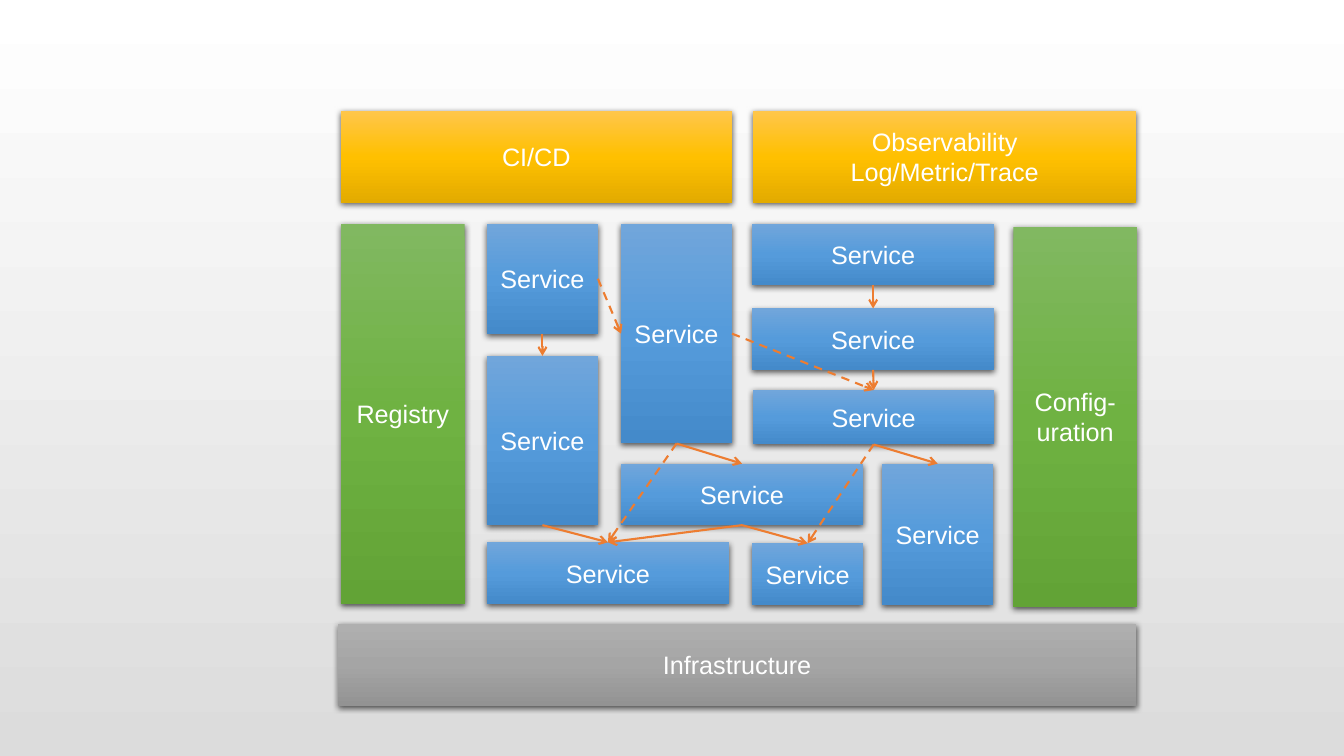
from copy import deepcopy
from lxml.etree import SubElement
from pptx import Presentation
from pptx.dml.color import RGBColor
from pptx.enum.dml import MSO_LINE
from pptx.enum.shapes import MSO_CONNECTOR, MSO_SHAPE
from pptx.enum.text import MSO_ANCHOR, PP_ALIGN
from pptx.oxml.ns import qn
from pptx.util import Inches, Pt

BLUE = ("71A6DB", "559BDB", "448ACA")
GREEN = ("81B861", "6FB242", "62A336")
GOLD = ("FFC64B", "FFC000", "E3AB00")
GRAY = ("AFAFAF", "A5A5A5", "939393")
ORANGE = "ED7D31"
TOP, LEFT, BOTTOM, RIGHT = range(4)


def paint_gradient(fill, owner, colors):
    fill.gradient()
    fill.gradient_angle = 270
    stop_list = owner.xpath(".//a:gsLst")[0]
    for _ in colors[2:]:
        stop_list.insert(1, deepcopy(stop_list[0]))
    for index, (stop, color) in enumerate(zip(fill.gradient_stops, colors)):
        stop.position = index / (len(colors) - 1)
        stop.color.rgb = RGBColor.from_string(color)


def add_box(slide, text, colors, left, top, width, height):
    shape = slide.shapes.add_shape(
        MSO_SHAPE.RECTANGLE, Inches(left), Inches(top), Inches(width), Inches(height)
    )
    paint_gradient(shape.fill, shape._element.spPr, colors)
    shape.line.fill.background()
    shape.shadow.inherit = False
    effects = shape._element.spPr.find(qn("a:effectLst"))
    shadow = SubElement(
        effects, qn("a:outerShdw"), blurRad="57150", dist="19050",
        dir="5400000", algn="ctr", rotWithShape="0",
    )
    shadow_color = SubElement(shadow, qn("a:srgbClr"), val="000000")
    SubElement(shadow_color, qn("a:alpha"), val="63000")
    frame = shape.text_frame
    frame.word_wrap = True
    frame.vertical_anchor = MSO_ANCHOR.MIDDLE
    paragraph = frame.paragraphs[0]
    paragraph.alignment = PP_ALIGN.CENTER
    paragraph.text = text
    for run in paragraph.runs:
        for name, value in {"name": "Arial", "size": Pt(18)}.items():
            setattr(run.font, name, value)
        run.font.color.rgb = RGBColor.from_string("FFFFFF")
    return shape


presentation = Presentation()
presentation.slide_width = Inches(13.33)
presentation.slide_height = Inches(7.5)
slide = presentation.slides.add_slide(presentation.slide_layouts[6])
paint_gradient(slide.background.fill, slide._element, ("FFFFFF", "DCDCDC"))

service_places = {
    "center": (6.16, 4.6, 2.4, 0.61),
    "left middle": (4.83, 3.53, 1.1, 1.68),
    "right bottom": (8.75, 4.6, 1.1, 1.4),
    "tall": (6.16, 2.22, 1.1, 2.18),
    "right third": (7.47, 3.87, 2.39, 0.54),
    "left bottom": (4.83, 5.38, 2.4, 0.61),
    "small bottom": (7.46, 5.39, 1.1, 0.61),
    "right second": (7.46, 3.06, 2.4, 0.61),
    "right first": (7.46, 2.22, 2.4, 0.61),
    "left top": (4.83, 2.22, 1.1, 1.09),
}
services = {
    name: add_box(slide, "Service", BLUE, *place)
    for name, place in service_places.items()
}

calls = [
    ("left top", BOTTOM, "left middle", TOP, MSO_LINE.SOLID),
    ("left middle", BOTTOM, "left bottom", TOP, MSO_LINE.SOLID),
    ("center", BOTTOM, "left bottom", TOP, MSO_LINE.SOLID),
    ("right first", BOTTOM, "right second", TOP, MSO_LINE.SOLID),
    ("left top", RIGHT, "tall", LEFT, MSO_LINE.DASH),
    ("right second", BOTTOM, "right third", TOP, MSO_LINE.SOLID),
    ("tall", BOTTOM, "center", TOP, MSO_LINE.SOLID),
    ("right third", BOTTOM, "right bottom", TOP, MSO_LINE.SOLID),
    ("center", BOTTOM, "small bottom", TOP, MSO_LINE.SOLID),
    ("tall", RIGHT, "right third", TOP, MSO_LINE.DASH),
    ("tall", BOTTOM, "left bottom", TOP, MSO_LINE.DASH),
    ("right third", BOTTOM, "small bottom", TOP, MSO_LINE.DASH),
]
for caller, caller_side, callee, callee_side, dash in calls:
    connector = slide.shapes.add_connector(MSO_CONNECTOR.STRAIGHT, 0, 0, 0, 0)
    connector.begin_connect(services[caller], caller_side)
    connector.end_connect(services[callee], callee_side)
    connector.line.color.rgb = RGBColor.from_string(ORANGE)
    for name, value in {"width": Pt(1.5), "dash_style": dash}.items():
        setattr(connector.line, name, value)
    SubElement(connector.line._get_or_add_ln(), qn("a:tailEnd"), type="arrow")
    SubElement(connector._element.spPr, qn("a:effectLst"))

platform_boxes = [
    ("Registry", GREEN, 3.38, 2.22, 1.23, 3.77),
    ("Config-uration", GREEN, 10.05, 2.25, 1.23, 3.77),
    ("CI/CD", GOLD, 3.38, 1.1, 3.88, 0.91),
    ("Observability\nLog/Metric/Trace", GOLD, 7.47, 1.1, 3.8, 0.91),
    ("Infrastructure", GRAY, 3.35, 6.19, 7.92, 0.81),
]
for box in platform_boxes:
    add_box(slide, *box)

presentation.save("out.pptx")
